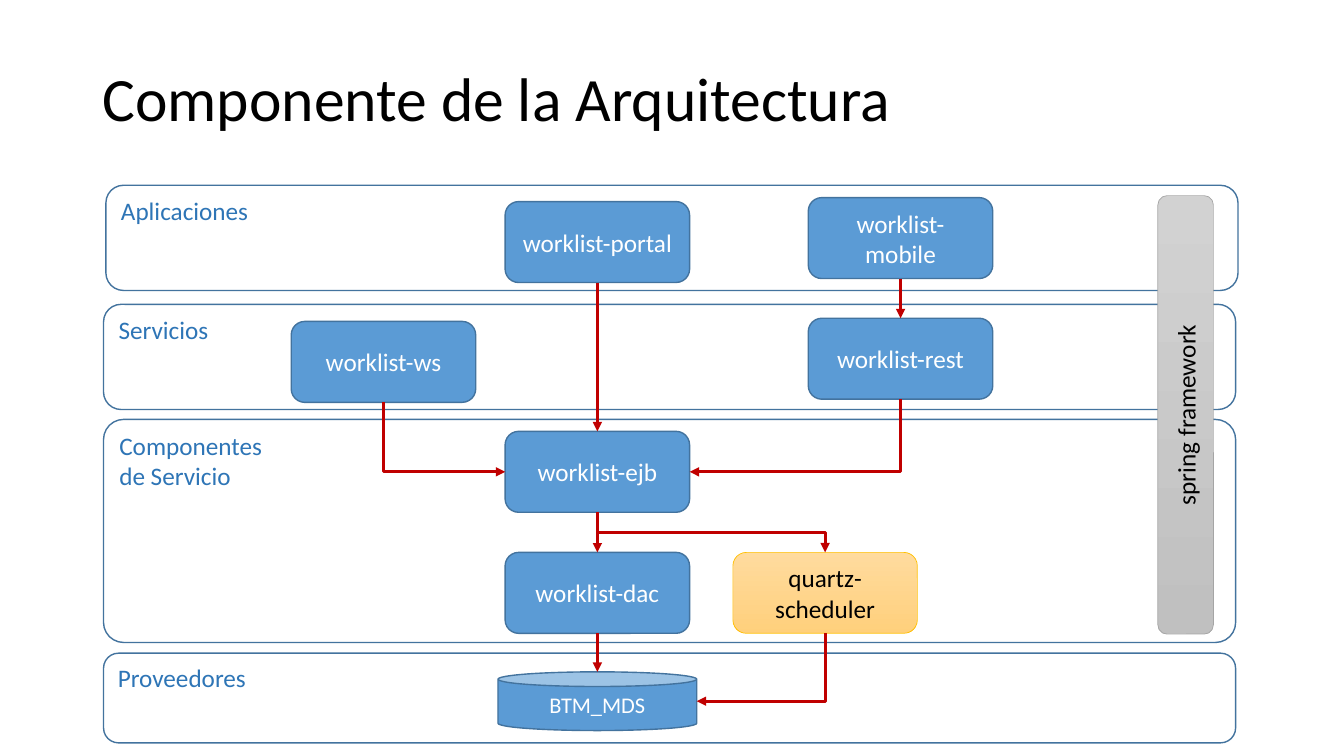
"""Build the slide of the layered worklist architecture."""
from dataclasses import dataclass

from lxml.etree import SubElement
from pptx import Presentation
from pptx.dml.color import RGBColor
from pptx.enum.shapes import MSO_CONNECTOR, MSO_SHAPE
from pptx.enum.text import MSO_ANCHOR, PP_ALIGN
from pptx.oxml.ns import qn
from pptx.util import Cm, Pt


@dataclass(frozen=True)
class Theme:
    """Colours, type sizes and line widths of the slide."""
    font: str = "Calibri"
    head: int = 44
    body: int = 18
    small: int = 16
    black: str = "000000"
    white: str = "FFFFFF"
    blue: str = "5B9BD5"
    edge: str = "43739E"
    label: str = "2E75B6"
    red: str = "C00000"
    gold: tuple = ("FFDB9E", "FFD07C")
    amber: str = "FFC000"
    gray: tuple = ("D2D2D2", "C0C0C0")
    steel: str = "A5A5A5"
    thin: float = 0.5
    line: float = 1
    thick: float = 2.25


THEME = Theme()
BOX = (4.65, 2.04)
SITES = {"box": {"top": 0, "left": 1, "low": 2, "right": 3},
         "can": {"top": 1, "left": 2, "low": 3, "right": 4}}


def tint(color):
    """Turn a hex string into a colour."""
    return RGBColor.from_string(color)


def write(frame, text, size, color, align):
    """Write text run by run, with a line break between lines."""
    para = frame.paragraphs[0]
    para.alignment = align
    for count, line in enumerate(text.split("\n")):
        if count:
            para.add_line_break()
        run = para.add_run()
        run.text = line
        run.font.name = THEME.font
        run.font.size = Pt(size)
        run.font.color.rgb = tint(color)


def paint(shape, fill, edge, width):
    """Give a shape a plain, graded or empty fill and an outline."""
    shape.shadow.inherit = False
    if fill is None:
        shape.fill.background()
    elif isinstance(fill, tuple):
        shape.fill.gradient()
        shape.fill.gradient_angle = 270
        for stop, color in zip(shape.fill.gradient_stops, fill):
            stop.color.rgb = tint(color)
    else:
        shape.fill.solid()
        shape.fill.fore_color.rgb = tint(fill)
    shape.line.color.rgb = tint(edge)
    shape.line.width = Pt(width)


def add_title(slide, text):
    """Place and fill the title."""
    title = slide.shapes.title
    title.left, title.top = Cm(2.33), Cm(1.01)
    title.width, title.height = Cm(29.21), Cm(3.1)
    frame = title.text_frame
    frame.vertical_anchor = MSO_ANCHOR.MIDDLE
    write(frame, text, THEME.head, THEME.black, PP_ALIGN.LEFT)
    frame.paragraphs[0].line_spacing = 0.9


def add_band(slide, text, left, top, height, curve=0.167):
    """Draw one layer frame with its label."""
    band = slide.shapes.add_shape(MSO_SHAPE.ROUNDED_RECTANGLE, Cm(left),
                                  Cm(top), Cm(28.53), Cm(height))
    band.adjustments[0] = curve
    paint(band, None, THEME.edge, THEME.line)
    band.text_frame.vertical_anchor = MSO_ANCHOR.TOP
    write(band.text_frame, text, THEME.body, THEME.label, PP_ALIGN.LEFT)


def add_node(slide, text, left, top, extent=BOX, fill=THEME.blue,
             edge=THEME.edge, width=THEME.line, color=THEME.white,
             size=THEME.body, form=MSO_SHAPE.ROUNDED_RECTANGLE):
    """Draw one component with centred text."""
    node = slide.shapes.add_shape(form, Cm(left), Cm(top),
                                  *(Cm(side) for side in extent))
    paint(node, fill, edge, width)
    node.text_frame.vertical_anchor = MSO_ANCHOR.MIDDLE
    write(node.text_frame, text, size, color, PP_ALIGN.CENTER)
    return node


def find_spot(node, side):
    """Return the middle point of one side of a node."""
    across = {"left": 0, "right": node.width}.get(side, node.width // 2)
    down = {"top": 0, "low": node.height}.get(side, node.height // 2)
    return node.left + across, node.top + down


def bend(link, start, end, preset):
    """Turn a link so that it leaves downwards and then bends."""
    (left, top), (right, low) = start, end
    wide, high = abs(right - left), abs(low - top)
    link.left = (left + right - high) // 2
    link.top = (top + low - wide) // 2
    link.width, link.height = high, wide
    props = link.element.spPr
    frame = props.find(qn("a:xfrm"))
    for name in ("flipH", "flipV"):
        frame.attrib.pop(name, None)
    frame.set("rot", str((270 if right > left else 90) * 60000))
    if right > left:
        frame.set("flipH", "1")
    props.find(qn("a:prstGeom")).set("prst", preset)


def add_link(slide, source, target, side="top", preset=None):
    """Draw an arrow from the low side of one node to another node."""
    start, end = find_spot(source, "low"), find_spot(target, side)
    kind = MSO_CONNECTOR.ELBOW if preset else MSO_CONNECTOR.STRAIGHT
    link = slide.shapes.add_connector(kind, *start, *end)
    link.begin_connect(source, 2)
    link.end_connect(target, 0)
    form = "can" if target.auto_shape_type == MSO_SHAPE.CAN else "box"
    glue = next(link.element.iter(qn("a:endCxn")))
    glue.set("idx", str(SITES[form][side]))
    if preset:
        bend(link, start, end, preset)
    link.line.color.rgb = tint(THEME.red)
    link.line.width = Pt(THEME.thick)
    props = link.element.spPr
    SubElement(props.find(qn("a:ln")), qn("a:tailEnd"), type="triangle")
    SubElement(props, qn("a:effectLst"))


def main():
    """Build and save the slide."""
    deck = Presentation()
    deck.slide_width, deck.slide_height = Cm(33.87), Cm(19.05)
    slide = deck.slides.add_slide(deck.slide_layouts[5])
    add_title(slide, "Componente de la Arquitectura")

    add_band(slide, "Aplicaciones", 2.67, 4.67, 2.65)
    add_band(slide, "Servicios", 2.61, 7.67, 2.65)
    add_band(slide, "Componentes\nde Servicio", 2.61, 10.57, 5.62, 0.09)
    add_band(slide, "Proveedores", 2.61, 16.46, 2.26)

    portal = add_node(slide, "worklist-portal", 12.73, 5.08)
    mobile = add_node(slide, "worklist-mobile", 20.37, 4.98)
    web = add_node(slide, "worklist-ws", 7.34, 8.1)
    rest = add_node(slide, "worklist-rest", 20.37, 8.02)
    bean = add_node(slide, "worklist-ejb", 12.73, 10.87)
    access = add_node(slide, "worklist-dac", 12.73, 13.92)
    timer = add_node(slide, "quartz-scheduler", 18.47, 13.92,
                     fill=THEME.gold, edge=THEME.amber, width=THEME.thin,
                     color=THEME.black)
    store = add_node(slide, "BTM_MDS", 12.55, 16.93, (5.01, 1.48),
                     size=THEME.small, form=MSO_SHAPE.CAN)
    spring = add_node(slide, "spring framework", 29.18, 4.93, (1.4, 11.05),
                      fill=THEME.gray, edge=THEME.steel, width=THEME.thin,
                      color=THEME.black)
    spring.text_frame.paragraphs[0].line_spacing = 1
    spring.element.txBody.find(qn("a:bodyPr")).set("vert", "vert270")

    for source, target in ((portal, bean), (mobile, rest), (bean, access),
                           (access, store)):
        add_link(slide, source, target)
    add_link(slide, web, bean, "left", "bentConnector2")
    add_link(slide, rest, bean, "right", "bentConnector2")
    add_link(slide, bean, timer, "top", "bentConnector3")
    add_link(slide, timer, store, "right", "bentConnector2")
    deck.save("out.pptx")


main()
